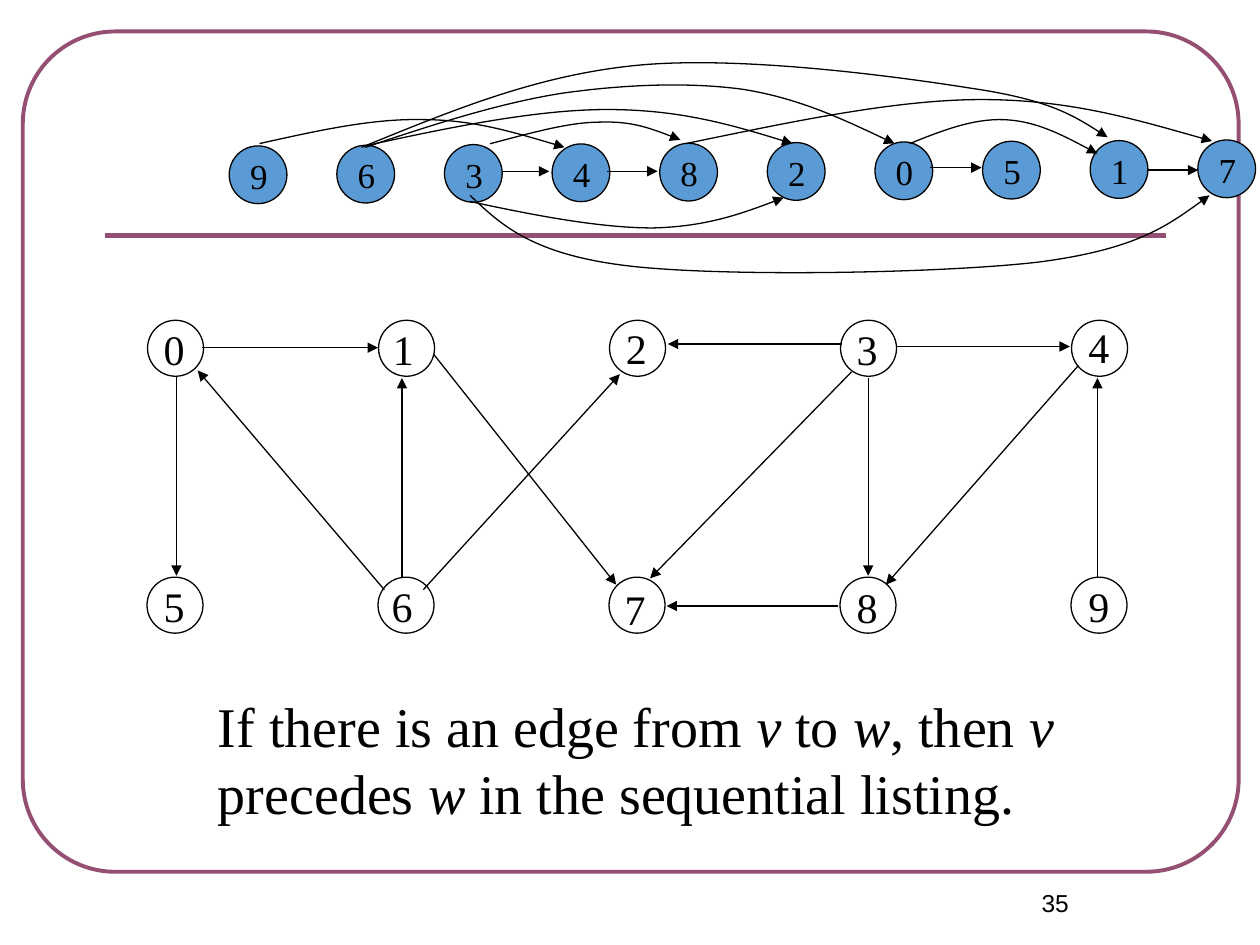
"""Build a slide that shows a directed graph and its topological order."""
from lxml.etree import SubElement
from pptx import Presentation
from pptx.dml.color import RGBColor
from pptx.enum.shapes import MSO_CONNECTOR as Connector, MSO_SHAPE as Shape
from pptx.enum.text import PP_ALIGN as Align
from pptx.oxml.ns import qn
from pptx.util import Pt

COLORS = {"ink": "000000", "frame": "954F72", "node": "5B9BD5"}
SERIF, SANS = "Times New Roman", "Arial"


class Painter:
    """Draw styled elements on one slide."""

    def __init__(self, page):
        self.shapes = page.shapes

    def stroke(self, shape, color="ink", weight=0.74):
        shape.line.color.rgb = RGBColor.from_string(COLORS[color])
        shape.line.width = Pt(weight)

    def arrowhead(self, shape):
        SubElement(shape.line._get_or_add_ln(), qn("a:tailEnd"), type="triangle")

    def outline(self, kind, left, top, width, height, fill=None, **stroke):
        shape = self.shapes.add_shape(kind, Pt(left), Pt(top), Pt(width), Pt(height))
        shape.shadow.inherit = False
        if fill:
            shape.fill.solid()
            shape.fill.fore_color.rgb = RGBColor.from_string(COLORS[fill])
        else:
            shape.fill.background()
        self.stroke(shape, **stroke)
        return shape

    def line(self, x1, y1, x2, y2, **stroke):
        line = self.shapes.add_connector(
            Connector.STRAIGHT, Pt(x1), Pt(y1), Pt(x2), Pt(y2))
        self.stroke(line, **stroke)
        SubElement(line._element.spPr, qn("a:effectLst"))
        return line

    def arrow(self, x1, y1, x2, y2):
        self.arrowhead(self.line(x1, y1, x2, y2))

    def curve(self, points):
        start, *rest = [(Pt(x), Pt(y)) for x, y in points]
        builder = self.shapes.build_freeform(*start)
        builder.add_line_segments(rest, close=False)
        shape = builder.convert_to_shape()
        steps = list(shape._element.iter(qn("a:lnTo")))
        for first in range(0, len(steps), 3):
            bezier = steps[first].makeelement(qn("a:cubicBezTo"))
            steps[first].addprevious(bezier)
            for step in steps[first:first + 3]:
                bezier.append(step[0])
                step.getparent().remove(step)
        shape.shadow.inherit = False
        shape.fill.background()
        self.stroke(shape)
        self.arrowhead(shape)

    def text(self, spans, left, top, width, height, size, font=SERIF, align=Align.LEFT):
        box = self.shapes.add_textbox(Pt(left), Pt(top), Pt(width), Pt(height))
        box.text_frame.word_wrap = True
        para = box.text_frame.paragraphs[0]
        para.alignment = align
        para.font.size, para.font.name = Pt(size), font
        para.font.color.rgb = RGBColor.from_string(COLORS["ink"])
        for words, italic in spans:
            span = para.add_run()
            span.text = words
            if italic:
                span.font.italic = True


GRAPH_ROWS = [
    (84.3, 183, [(86.4, 181.4), (217.4, 181.4), (350.6, 180.7), (482.4, 181.4), (614.9, 180)]),
    (84, 329.8, [(86.4, 328.3), (216.7, 328.3), (349.9, 329.8), (482.4, 329), (614.9, 328.3)]),
]
GRAPH_EDGES = [
    (100.8, 214.6, 100.8, 329), (115.2, 198.7, 216, 198.7),
    (229.7, 330.5, 229.7, 216), (219.6, 337, 113, 211.7),
    (241.9, 337, 354.2, 213.8), (247.7, 202.3, 352.1, 334.1),
    (481, 196.6, 381.6, 196.6), (478.8, 346.3, 380.9, 346.3),
    (486.7, 212.4, 371.5, 330.5), (511.9, 198, 611.3, 198),
    (616.3, 208.8, 506.2, 334.1), (627.1, 330.5, 627.1, 216),
    (496.1, 216, 496.1, 329),
]
ORDER_EDGES = [
    (286.6, 97.9, 313.9, 97.9), (347, 97.9, 375.8, 97.9),
    (531.4, 95.8, 560.9, 95.8), (655.9, 97.2, 684.7, 97.2),
]
ORDER_CURVES = [
    [(148.3, 82.1), (180.7, 74.9), (212.4, 67.7), (241.2, 68.4),
     (270, 68.4), (295.9, 76.3), (322.6, 84.2)],
    [(208.1, 83.5), (257, 72.7), (306.7, 62.6), (347, 62.6),
     (388.1, 62.6), (420.5, 72), (452.9, 82.1)],
    [(208.8, 84.2), (247, 71.3), (285.1, 59), (321.1, 53.3), (357.1, 48.2),
     (393.8, 46.8), (424.8, 51.1), (456.5, 56.2), (483.8, 69.1), (511.2, 82.1)],
    [(206.6, 84.2), (256.3, 64.1), (305.3, 43.2), (363.6, 37.4), (421.2, 31.7),
     (509, 43.2), (554.4, 50.4), (599, 56.9), (616.3, 67.7), (632.9, 78.5)],
    [(280.1, 82.1), (302.4, 76.3), (324.7, 69.8), (342.7, 69.8),
     (360.7, 69.1), (374.4, 74.2), (388.8, 79.9)],
    [(268.6, 115.2), (305.3, 123.1), (342.7, 130.3), (373, 130.3),
     (402.5, 129.6), (425.5, 121.7), (447.8, 113)],
    [(268.6, 111.6), (286.6, 128.9), (304.6, 145.4), (358.6, 151.9), (413.3, 158.4),
     (537.8, 156.2), (593.3, 149.8), (648.7, 142.6), (669.6, 127.4), (691.2, 111.6)],
    [(391.7, 82.1), (451.4, 69.8), (511.2, 56.9), (560.9, 56.9),
     (611.3, 56.9), (651.6, 69.1), (692.6, 80.6)],
    [(519.8, 82.1), (537.8, 74.9), (555.8, 67.7), (573.8, 68.4),
     (591.8, 69.1), (609.8, 78.5), (627.1, 87.8)],
]
RULE = [
    ("If there is an edge from ", False), ("v", True), (" to ", False), ("w", True),
    (", then ", False), ("v", True), (" precedes ", False), ("w", True),
    (" in the sequential listing.", False),
]

deck = Presentation()
deck.slide_width, deck.slide_height = Pt(720), Pt(540)
painter = Painter(deck.slides.add_slide(deck.slide_layouts[6]))

frame = painter.outline(Shape.ROUNDED_RECTANGLE, 13, 18, 694.8, 480.2,
                        color="frame", weight=2.24)
frame.adjustments[0] = 0.11
painter.line(59.8, 134.6, 666, 134.6, color="frame", weight=3)
painter.text([("35", False)], 540, 504, 126, 36, 14, SANS, Align.CENTER)

for row, (left, top, labels) in enumerate(GRAPH_ROWS):
    for column, (label_left, label_top) in enumerate(labels):
        painter.outline(Shape.OVAL, left + 132 * column, top, 32, 32)
        painter.text([(str(5 * row + column), False)], label_left, label_top, 31, 36, 24)
for edge in GRAPH_EDGES:
    painter.arrow(*edge)
painter.text(RULE, 117.4, 391.7, 519.8, 84.2, 32)

for place, name in enumerate("9634820517"):
    left, top = 131 + 61.5 * place, 83.4 - 0.38 * place
    painter.outline(Shape.OVAL, left, top, 33, 33, fill="node")
    painter.text([(name, False)], left + 4.8, top + 1.4, 28, 31.6, 20)
for edge in ORDER_EDGES:
    painter.arrow(*edge)
for points in ORDER_CURVES:
    painter.curve(points)

deck.save("out.pptx")
